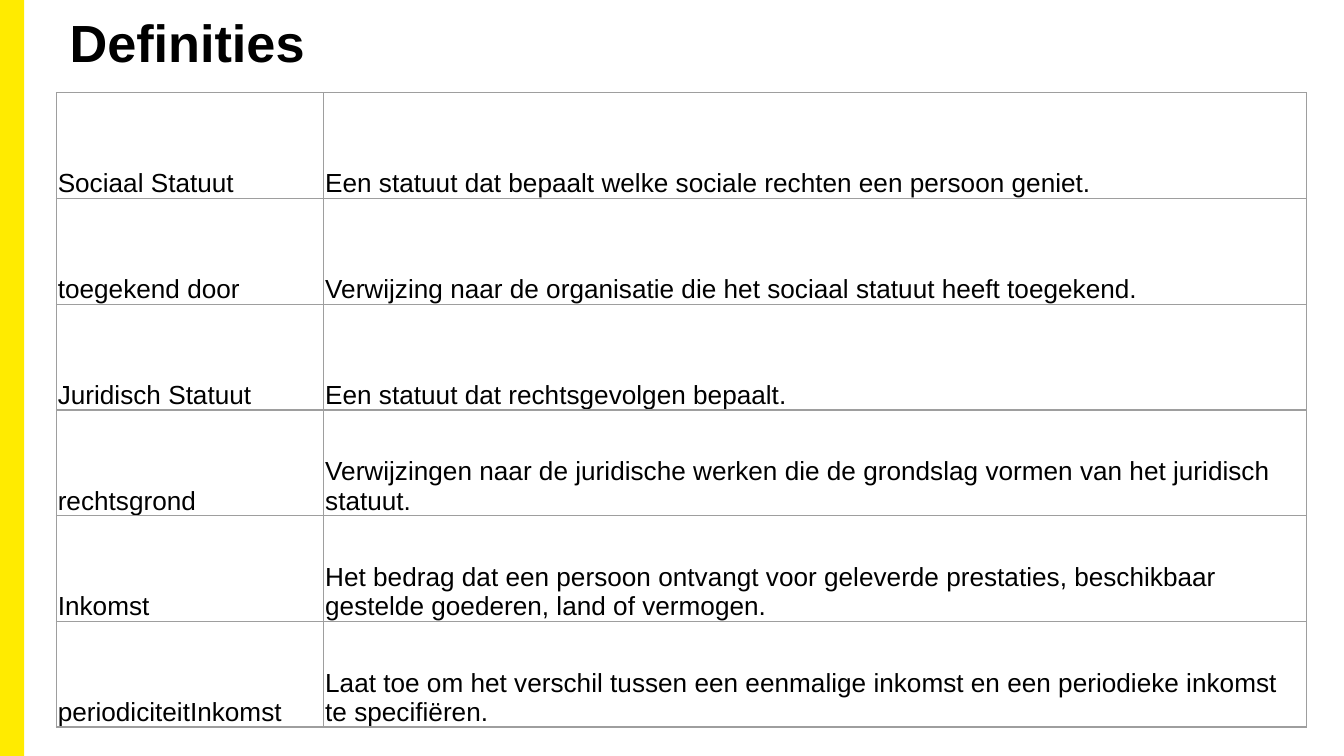
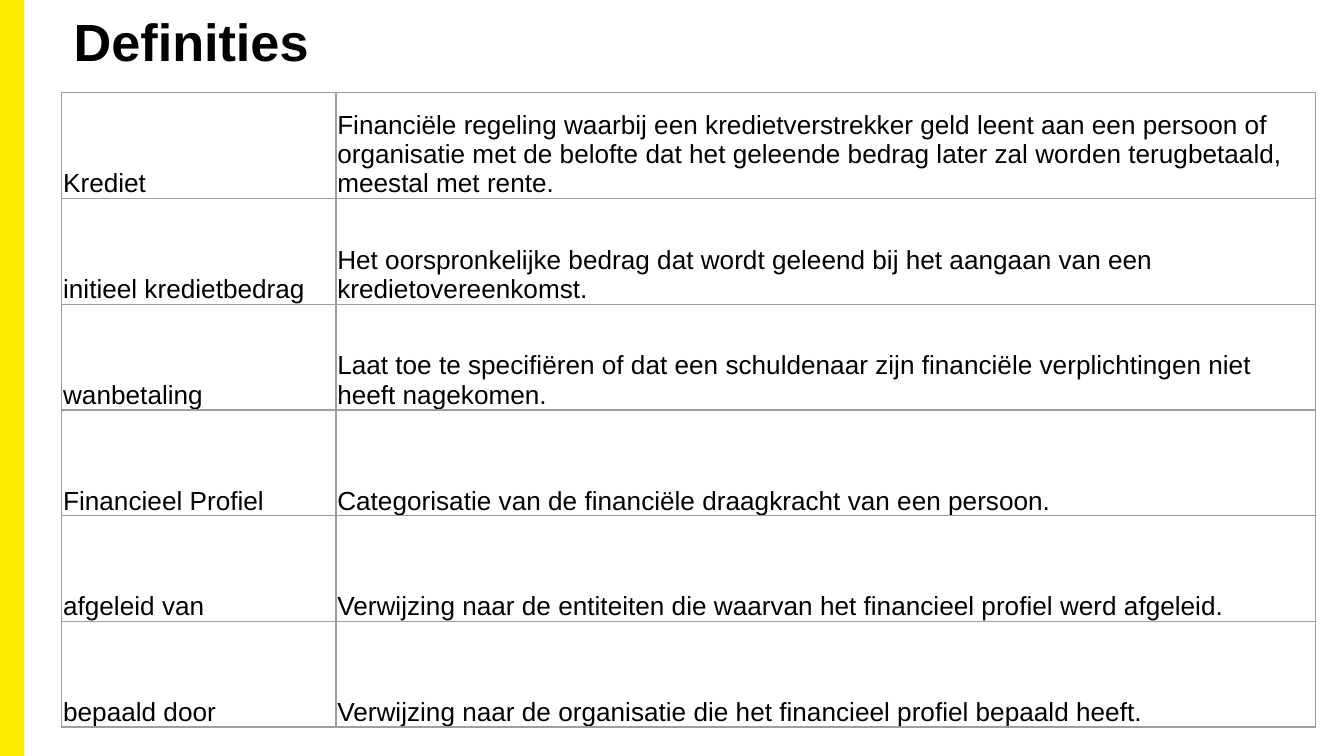
from dataclasses import dataclass

from lxml import etree
from pptx import Presentation
from pptx import util as u
from pptx.dml.color import RGBColor
from pptx.enum import shapes, text
from pptx.oxml.ns import qn

TITLE = "Definities"
SLIDES = [
    {
        "title_at": (0.42, 0),
        "table_left": 0.42,
        "columns": (1.99, 7.31),
        "definitions": [
            ("Sociaal Statuut", "Een statuut dat bepaalt welke sociale rechten een persoon geniet."),
            ("toegekend door", "Verwijzing naar de organisatie die het sociaal statuut heeft toegekend."),
            ("Juridisch Statuut", "Een statuut dat rechtsgevolgen bepaalt."),
            ("rechtsgrond", "Verwijzingen naar de juridische werken die de grondslag vormen "
                            "van het juridisch statuut."),
            ("Inkomst", "Het bedrag dat een persoon ontvangt voor geleverde prestaties, "
                        "beschikbaar gestelde goederen, land of vermogen."),
            ("periodiciteitInkomst", "Laat toe om het verschil tussen een eenmalige inkomst "
                                     "en een periodieke inkomst te specifiëren."),
        ],
    },
    {
        "title_at": (0.45, -0.01),
        "table_left": 0.46,
        "columns": (2.04, 7.29),
        "definitions": [
            ("Krediet", "Financiële regeling waarbij een kredietverstrekker geld leent aan een "
                        "persoon of organisatie met de belofte dat het geleende bedrag later "
                        "zal worden terugbetaald, meestal met rente."),
            ("initieel kredietbedrag", "Het oorspronkelijke bedrag dat wordt geleend bij het "
                                       "aangaan van een kredietovereenkomst."),
            ("wanbetaling", "Laat toe te specifiëren of dat een schuldenaar zijn financiële "
                            "verplichtingen niet heeft nagekomen."),
            ("Financieel Profiel", "Categorisatie van de financiële draagkracht van een persoon."),
            ("afgeleid van", "Verwijzing naar de entiteiten die waarvan het financieel profiel "
                             "werd afgeleid."),
            ("bepaald door", "Verwijzing naar de organisatie die het financieel profiel bepaald heeft."),
        ],
    },
]


@dataclass(frozen=True)
class Theme:
    font: str = "Arial"
    title_size: int = 28
    body_size: int = 14
    ink: str = "000000"
    paper: str = "FFFFFF"
    band: str = "FFEB00"
    grid: str = "9E9E9E"
    grid_width: float = 0.75


THEME = Theme()
SLIDE_WIDTH = 10
SLIDE_HEIGHT = SLIDE_WIDTH * 9 / 16
BAND_WIDTH = 0.18
TITLE_SIZE = (8.26, 0.62)
TABLE_TOP, TABLE_HEIGHT = 0.69, 4.72
CELL_INSET = 0.01


def write(text_frame, content, size, bold=False):
    text_frame.text = content
    paragraph = text_frame.paragraphs[0]
    paragraph.alignment = text.PP_ALIGN.LEFT
    font = paragraph.runs[0].font
    font.name, font.size, font.bold = THEME.font, u.Pt(size), bold
    font.color.rgb = RGBColor.from_string(THEME.ink)


def add_rectangle(slide, left, top, width, height, color):
    rectangle = slide.shapes.add_shape(
        shapes.MSO_SHAPE.RECTANGLE, *map(u.Inches, (left, top, width, height)))
    rectangle.shadow.inherit = False
    rectangle.fill.solid()
    rectangle.fill.fore_color.rgb = RGBColor.from_string(color)
    rectangle.line.fill.background()
    return rectangle


def add_title(slide, left, top):
    title = add_rectangle(slide, left, top, *TITLE_SIZE, THEME.paper)
    title.text_frame.word_wrap = True
    title.text_frame.vertical_anchor = text.MSO_ANCHOR.MIDDLE
    write(title.text_frame, TITLE, THEME.title_size, bold=True)


def set_borders(cell):
    """Draw the four grid lines; they must come before the fill in the cell properties."""
    properties = cell._tc.get_or_add_tcPr()
    for position, side in enumerate(("a:lnL", "a:lnR", "a:lnT", "a:lnB")):
        line = etree.Element(qn(side), w=str(u.Pt(THEME.grid_width)))
        fill = etree.SubElement(line, qn("a:solidFill"))
        etree.SubElement(fill, qn("a:srgbClr"), val=THEME.grid)
        properties.insert(position, line)


def add_definitions(slide, left, columns, definitions):
    table = slide.shapes.add_table(
        len(definitions), len(columns), u.Inches(left), u.Inches(TABLE_TOP),
        u.Inches(sum(columns)), u.Inches(TABLE_HEIGHT)).table
    table.first_row = table.horz_banding = False
    for column, width in zip(table.columns, columns):
        column.width = u.Inches(width)
    for row, definition in zip(table.rows, definitions):
        for cell, content in zip(row.cells, definition):
            cell.margin_left = cell.margin_right = cell.margin_top = u.Inches(CELL_INSET)
            cell.margin_bottom = 0
            cell.vertical_anchor = text.MSO_ANCHOR.BOTTOM
            cell.fill.background()
            set_borders(cell)
            write(cell.text_frame, content, THEME.body_size)


def main():
    presentation = Presentation()
    presentation.slide_width = u.Inches(SLIDE_WIDTH)
    presentation.slide_height = u.Inches(SLIDE_HEIGHT)
    for content in SLIDES:
        slide = presentation.slides.add_slide(presentation.slide_layouts[6])
        add_rectangle(slide, 0, 0, BAND_WIDTH, SLIDE_HEIGHT, THEME.band)
        add_definitions(slide, content["table_left"], content["columns"], content["definitions"])
        add_title(slide, *content["title_at"])
    presentation.save("out.pptx")


if __name__ == "__main__":
    main()
